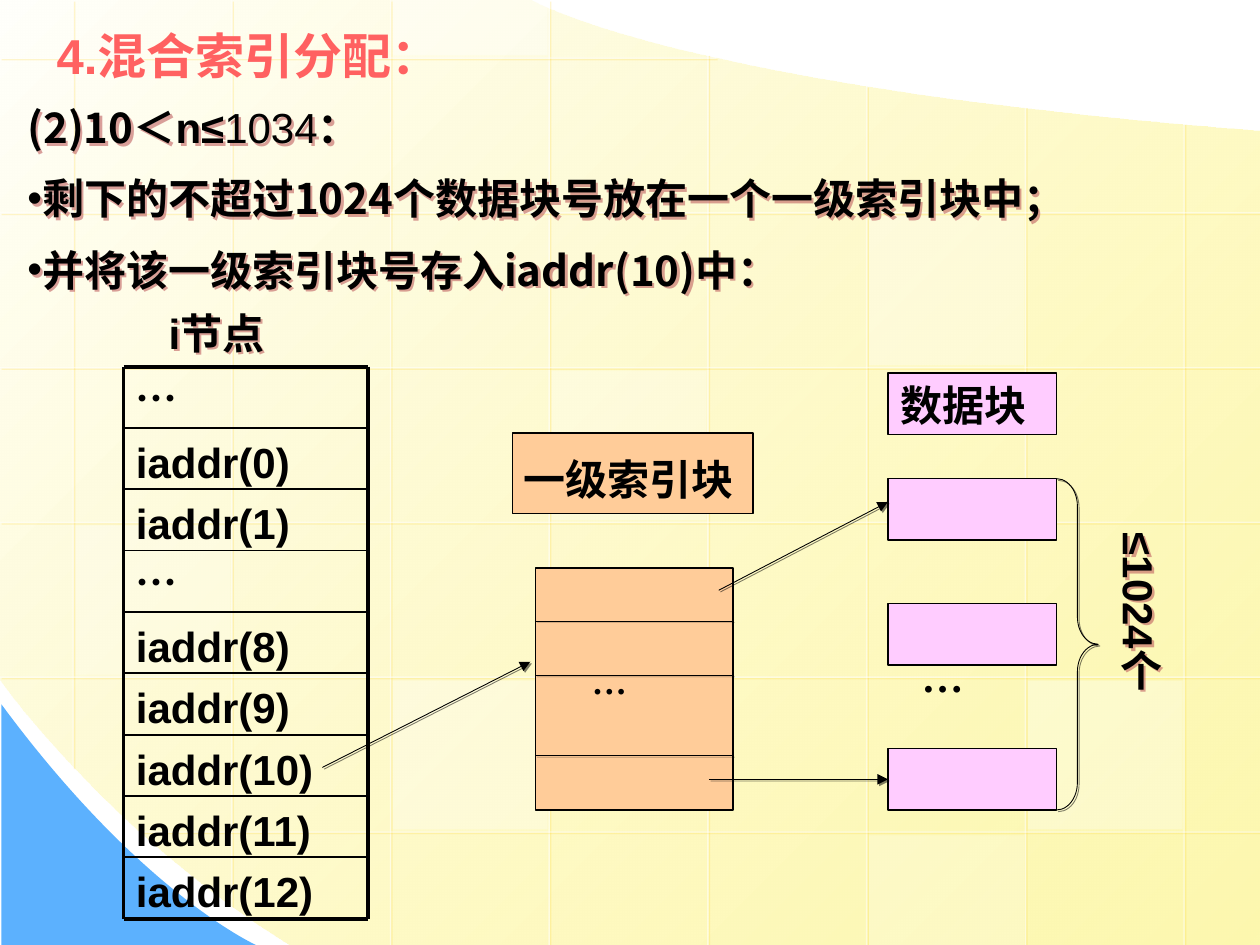
import lxml.etree
import pptx
import pptx.dml.color
import pptx.enum.shapes
import pptx.enum.text
import pptx.oxml.ns
import pptx.util

Cm, Pt, qn = pptx.util.Cm, pptx.util.Pt, pptx.oxml.ns.qn
RGBColor = pptx.dml.color.RGBColor
SHAPE = pptx.enum.shapes.MSO_SHAPE
ANCHOR = pptx.enum.text.MSO_ANCHOR
BLACK, WHITE = RGBColor(0, 0, 0), RGBColor(255, 255, 255)
CORAL, BLUE = RGBColor(0xFF, 0x61, 0x61), RGBColor(0x5C, 0xB1, 0xFE)
IVORY, YELLOW = RGBColor(0xFF, 0xFF, 0xFB), RGBColor(0xFD, 0xF5, 0x8D)
GOLD, ROSE = RGBColor(0xFF, 0xCC, 0), RGBColor(0xC0, 0x60, 0x60)
PINK, ORANGE = RGBColor(0xFF, 0xCC, 0xFF), RGBColor(0xFF, 0xCC, 0x99)
CJK, SANS, SERIF = "Noto Sans CJK SC", "Arial", "Times New Roman"
WIDTH, HEIGHT = 25.4, 19.05


def sub(parent, tag, **attrs):
    return lxml.etree.SubElement(parent, qn(tag), {k: str(v) for k, v in attrs.items()})


def set_alpha(element, percent):
    for clr in element.iter(qn("a:srgbClr")):
        sub(clr, "a:alpha", val=percent * 1000)


def set_shadow(sp, color=None, alpha=50, dist=1.4):
    effects = sub(sp._element.spPr, "a:effectLst")
    if color is not None:
        outer = sub(effects, "a:outerShdw", blurRad=0, dist=Pt(dist), dir=2700000,
                    algn="ctr", rotWithShape=0)
        sub(outer, "a:srgbClr", val=color)
        set_alpha(outer, alpha)


def write(p, text, size=24, font=SANS, color=BLACK, bold=True):
    r = p.add_run()
    r.text = text
    r.font.size, r.font.bold, r.font.name = Pt(size), bold, font
    r.font.color.rgb = color
    sub(r._r.get_or_add_rPr(), "a:ea", typeface=CJK)


def add_text(s, text, x, y, w, h, shadow=None, vert=None, **fmt):
    sp = s.shapes.add_textbox(Cm(x), Cm(y), Cm(w), Cm(h))
    tf = sp.text_frame
    tf.word_wrap = True
    if vert:
        tf._txBody.bodyPr.set("vert", vert)
    write(tf.paragraphs[0], text, **fmt)
    if shadow is not None:
        set_shadow(sp, shadow, 60, 2)
    return tf


def add_box(s, x, y, w, h, fill, line=BLACK):
    sp = s.shapes.add_shape(SHAPE.RECTANGLE, Cm(x), Cm(y), Cm(w), Cm(h))
    sp.fill.solid()
    sp.fill.fore_color.rgb = fill
    if line is None:
        sp.line.fill.background()
    else:
        sp.line.color.rgb, sp.line.width = line, Pt(0.75)
    sp.shadow.inherit = False
    return sp


def add_line(s, x1, y1, x2, y2, color=BLACK, width=0.5, arrow=False,
             alpha=None, shadow=BLACK, shadow_alpha=50):
    c = s.shapes.add_connector(pptx.enum.shapes.MSO_CONNECTOR.STRAIGHT,
                               Cm(x1), Cm(y1), Cm(x2), Cm(y2))
    c.line.color.rgb, c.line.width = color, Pt(width)
    ln = c.line._get_or_add_ln()
    if alpha:
        set_alpha(ln, alpha)
    if arrow:
        sub(ln, "a:tailEnd", type="triangle")
    set_shadow(c, shadow, shadow_alpha)


def add_outline(s, start, segments):
    fb = s.shapes.build_freeform(Cm(start[0]), Cm(start[1]))
    fb.add_line_segments([(Cm(x), Cm(y)) for x, y in (seg[-1] for seg in segments)], close=True)
    sp = fb.convert_to_shape()
    for seg, node in zip(segments, list(sp._element.iter(qn("a:lnTo")))):
        if len(seg) == 3:
            bezier = lxml.etree.Element(qn("a:cubicBezTo"))
            for x, y in seg:
                sub(bezier, "a:pt", x=Cm(x) - sp.left, y=Cm(y) - sp.top)
            node.getparent().replace(node, bezier)
    sp.line.fill.background()
    sp.shadow.inherit = False
    return sp


def backdrop(s):
    low, top, right = (0, 13.69), (10.69, 0), (WIDTH, 2.64)
    sheet = add_outline(s, right, [[(WIDTH, HEIGHT)], [(5.84, HEIGHT)], [(2.18, 16.79), low, low],
                                   [(0, 0)], [top], [top, (13.64, 1.75), right]])
    sheet.fill.gradient()
    sheet.fill.gradient_angle = 315
    for stop, color in zip(sheet.fill.gradient_stops, (IVORY, YELLOW)):
        stop.color.rgb = color
    set_alpha(sheet._element.spPr.find(qn("a:gradFill")).find(qn("a:gsLst"))[-1], 70)

    start, end = (0.03, 14.2), (5.16, HEIGHT)
    corner = add_outline(s, start, [[(0.03, HEIGHT)], [end], [end, (2.84, 18.01), start]])
    corner.fill.solid()
    corner.fill.fore_color.rgb = BLUE

    x0, y0, dx, dy = 1.47, 1.17, 3.2, 3.12
    grid = dict(color=WHITE, width=0.75, alpha=50, shadow=GOLD, shadow_alpha=34)
    tops = [0, 0, 0, 0, 1.09, 1.73, 2.16, 2.49]
    bottoms = [15.47, 18.26] + [HEIGHT] * 6
    for i, (y1, y2) in enumerate(zip(tops, bottoms)):
        add_line(s, x0 + i * dx, y1, x0 + i * dx, y2, **grid)
    rights = [14.43] + [WIDTH] * 5
    for j, (x1, x2) in enumerate(zip(rights, [0] * 5 + [2.82])):
        add_line(s, x1, y0 + j * dy, x2, y0 + j * dy, **grid)
    for col, row, alpha in [(3, 2, 25), (6, 4, 30), (0, 3, 20), (5, 5, 20),
                            (2, -1, 40), (2, 4, 30), (5, 1, 30)]:
        y = y0 + row * dy + 0.07
        y1, y2 = max(0, y), min(HEIGHT, y + 3)
        tile = add_box(s, x0 + col * dx + 0.05, y1, 3.12, y2 - y1, WHITE, line=None)
        set_alpha(tile._element.spPr, alpha)


def place(s, sp, x, y, w, h):
    s.shapes._spTree.append(sp._element)
    sp.left, sp.top, sp.width, sp.height = Cm(x), Cm(y), Cm(w), Cm(h)
    sp.text_frame.auto_size = pptx.enum.text.MSO_AUTO_SIZE.NONE
    return sp.text_frame


def heading(s, x, y, w, h):
    tf = place(s, s.shapes.title, x, y, w, h)
    tf.vertical_anchor = ANCHOR.MIDDLE
    tf.paragraphs[0].alignment = pptx.enum.text.PP_ALIGN.LEFT
    write(tf.paragraphs[0], "4.混合索引分配：", size=28, color=CORAL)


def explanation(s, x, y, w, h):
    body = s.placeholders[1]
    tf = place(s, body, x, y, w, h)
    set_shadow(body, ROSE, 60, 2)
    paragraphs = [
        [("(2)10", CJK, True), ("＜n≤", SANS, True), ("1034", SANS, False), ("：", SANS, True)],
        [("剩下的不超过1024个数据块号放在一个一级索引块中；", CJK, True)],
        [("并将该一级索引块号存入iaddr(10)中：", CJK, True)],
    ]
    for i, runs in enumerate(paragraphs):
        p = tf.add_paragraph() if i else tf.paragraphs[0]
        pPr = p._p.get_or_add_pPr()
        pPr.set("marL", "0")
        pPr.set("indent", "0")
        if i:
            sub(pPr, "a:buChar", char="•")
        else:
            sub(pPr, "a:buNone")
        p.space_before = Pt(12 if i else 0)
        for text, font, bold in runs:
            write(p, text, font=font, bold=bold)


def inode(s, x, y, w, h):
    rows = ["…", "iaddr(0)", "iaddr(1)", "…"] + [f"iaddr({n})" for n in range(8, 13)]
    row_h = h / len(rows)
    for i, text in enumerate(rows):
        dots = text == "…"
        tf = add_text(s, text, x, y + i * row_h, w, row_h, font=CJK if dots else SANS)
        tf.vertical_anchor = ANCHOR.MIDDLE
        tf.margin_top, tf.margin_bottom = Cm(0 if dots else 0.12), 0
    for i in range(len(rows) + 1):
        add_line(s, x, y + i * row_h, x + w, y + i * row_h, shadow=None,
                 width=2.25 if i in (0, len(rows)) else 1)
    for side in (x, x + w):
        add_line(s, side, y, side, y + h, width=2.25, shadow=None)
    add_line(s, x + 4.01, y + 8.08, x + 8.2, y + 5.95, arrow=True)
    add_text(s, "i节点", x + 0.66, y - 1.32, 3.96, 1.27, shadow=ROSE)


def index_block(s, x, y, w, h):
    add_box(s, x, y, w, h, ORANGE)
    for dy in (1.07, 2.16, 3.78):
        add_line(s, x, y + dy, x + w, y + dy, width=0.25)
    add_text(s, "…", x + 0.89, y + 1.73, 2.21, 1.09, size=20, font=SERIF)
    add_line(s, x + 3.7, y + 0.45, x + 7.11, y - 1.33, arrow=True)
    add_line(s, x + 3.5, y + 4.26, x + 7.11, y + 4.26, arrow=True)
    add_box(s, x - 0.46, y - 2.72, 4.85, 1.63, ORANGE)
    add_text(s, "一级索引块", x - 0.49, y - 2.44, 5.41, 1.27, font=SERIF)


def data_blocks(s, x, y, w, h):
    block_h = 1.24
    for dy in (0, 2.52, h - block_h):
        add_box(s, x, y + dy, w, block_h, PINK)
    add_text(s, "…", x + 0.43, y + 3.33, 2.97, 1.27, font=SERIF)
    brace = s.shapes.add_shape(SHAPE.RIGHT_BRACE, Cm(x + w), Cm(y), Cm(0.84), Cm(h))
    brace.adjustments[0], brace.adjustments[1] = 0.66, 0.5
    brace.fill.background()
    brace.line.color.rgb, brace.line.width = BLACK, Pt(0.5)
    set_shadow(brace, BLACK)
    add_text(s, "≤1024个", x + 4.19, y + 0.84, 1.52, 5.41, shadow=ROSE, vert="eaVert")
    add_box(s, x, y - 2.13, w, block_h, PINK)
    add_text(s, "数据块", x, y - 2.13, 3.84, 1.27, font=SERIF)


def main():
    prs = pptx.Presentation()
    prs.slide_width, prs.slide_height = Cm(WIDTH), Cm(HEIGHT)
    s = prs.slides.add_slide(prs.slide_layouts[1])
    backdrop(s)
    heading(s, 0.89, 0.3, 22.86, 1.63)
    explanation(s, 0.3, 1.92, 21.41, 4.32)
    data_blocks(s, 17.9, 9.65, 3.4, 6.68)
    index_block(s, 10.79, 11.45, 3.99, 4.88)
    inode(s, 2.49, 7.39, 4.93, 11.13)
    prs.save("out.pptx")


if __name__ == "__main__":
    main()
